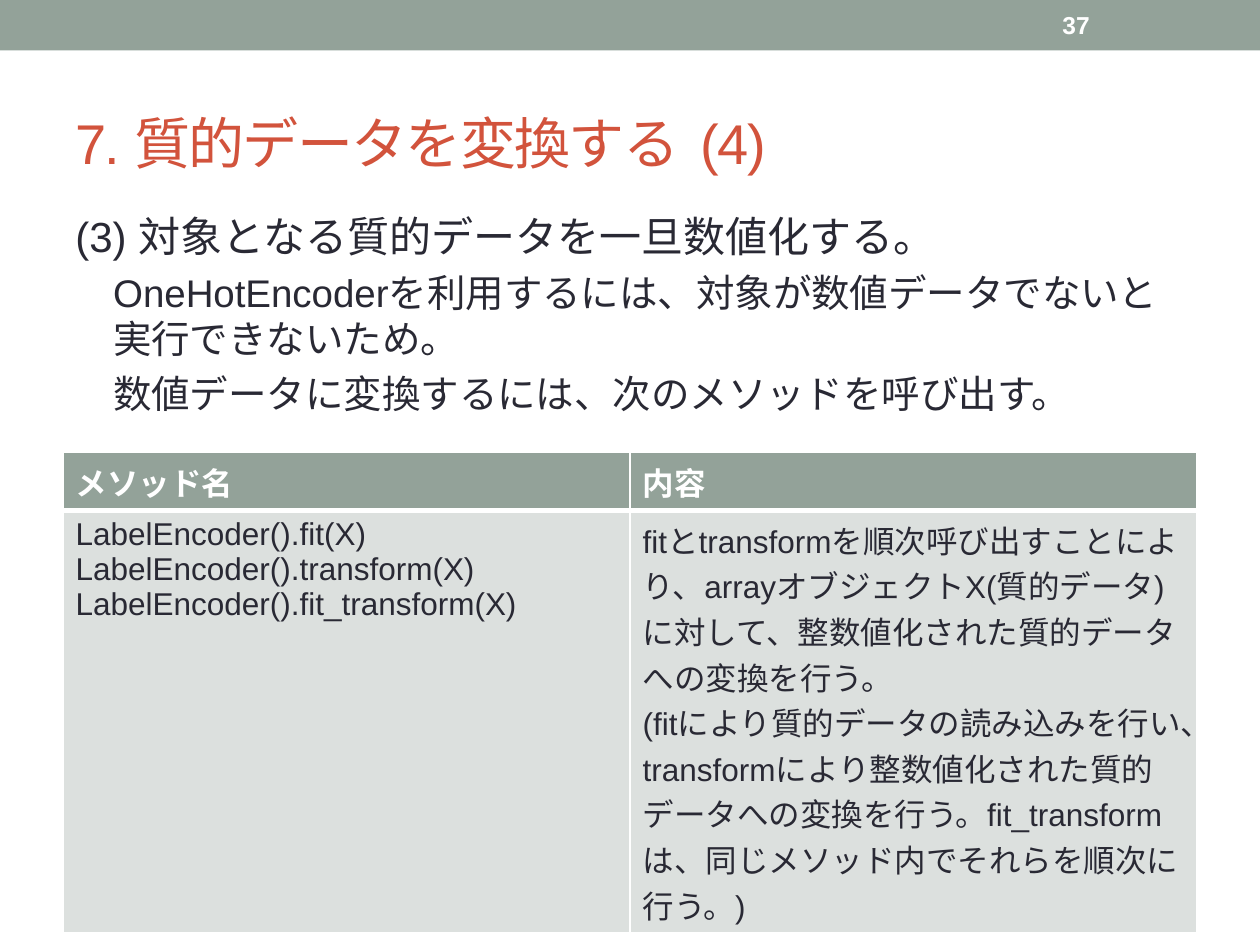
from lxml import etree
from pptx import Presentation
from pptx.dml.color import RGBColor
from pptx.enum import shapes, text
from pptx.oxml import ns
from pptx.util import Pt

SAGE = RGBColor(0x93, 0xA2, 0x99)
PALE = RGBColor(0xDC, 0xE0, 0xDE)
RUST = RGBColor(0xD2, 0x53, 0x3C)
INK = RGBColor(0x29, 0x29, 0x34)
WHITE = RGBColor(0xFF, 0xFF, 0xFF)

BODY_LINES = [
    ("(3) 対象となる質的データを一旦数値化する。", 24, 0),
    ("OneHotEncoderを利用するには、対象が数値データでないと実行できないため。", 22, 21.6),
    ("数値データに変換するには、次のメソッドを呼び出す。", 22, 21.6),
]
HEADER_HEIGHT = 33.2
METHOD_ROWS = [
    [["メソッド名"], ["内容"]],
    [
        [
            "LabelEncoder().fit(X)",
            "LabelEncoder().transform(X)",
            "LabelEncoder().fit_transform(X)",
        ],
        [
            "fitとtransformを順次呼び出すことにより、arrayオブジェクトX(質的データ)に対して、"
            "整数値化された質的データへの変換を行う。",
            "(fitにより質的データの読み込みを行い、transformにより整数値化された質的データへの変換を行う。"
            "fit_transformは、同じメソッド内でそれらを順次に行う。)",
        ],
    ],
]


def write(para, words, size=18, color=INK, bold=False, spacing=None, indent=0, before=0):
    if indent:
        props = para._p.get_or_add_pPr()
        props.set("marL", str(Pt(indent)))
        props.set("indent", "0")
    if before:
        para.space_before = Pt(before)
    span = para.add_run()
    span.text = words
    span.font.name = "Arial"
    span.font.size = Pt(size)
    span.font.bold = bold
    span.font.color.rgb = color
    if spacing:
        span._r.get_or_add_rPr().set("spc", str(spacing * 100))


def add_box(page, left, top, width, height, anchor=text.MSO_ANCHOR.TOP):
    frame = page.shapes.add_textbox(Pt(left), Pt(top), Pt(width), Pt(height)).text_frame
    frame.word_wrap = True
    frame.vertical_anchor = anchor
    return frame


def next_para(frame, index):
    return frame.add_paragraph() if index else frame.paragraphs[0]


def add_banner(page, left, top, width, height):
    bar = page.shapes.add_shape(
        shapes.MSO_SHAPE.RECTANGLE, Pt(left), Pt(top), Pt(width), Pt(height)
    )
    bar.shadow.inherit = False
    bar.fill.solid()
    bar.fill.fore_color.rgb = SAGE
    bar.line.fill.background()
    number = add_box(page, left + 600, top + 1.4, 84, height - 2.8, text.MSO_ANCHOR.MIDDLE)
    write(number.paragraphs[0], "37", size=14, color=WHITE, bold=True)


def add_title(page, left, top, width, height):
    frame = add_box(page, left, top, width, height, text.MSO_ANCHOR.MIDDLE)
    write(frame.paragraphs[0], "7. 質的データを変換する  (4)", size=32, color=RUST, spacing=-1)


def add_body(page, left, top, width, height):
    frame = add_box(page, left, top, width, height)
    for index, (words, size, indent) in enumerate(BODY_LINES):
        write(next_para(frame, index), words, size=size, indent=indent,
              before=5 if index else 0)


def set_borders(cell, **widths):
    props = cell._tc.get_or_add_tcPr()
    for side in ("L", "R", "T", "B"):
        line = etree.SubElement(props, ns.qn("a:ln" + side), w=str(Pt(widths.get(side, 1))))
        fill = etree.SubElement(line, ns.qn("a:solidFill"))
        etree.SubElement(fill, ns.qn("a:srgbClr"), val=str(WHITE))


def add_methods(page, left, top, width, height):
    table = page.shapes.add_table(2, 2, Pt(left), Pt(top), Pt(width), Pt(height)).table
    for row, row_height in zip(table.rows, (HEADER_HEIGHT, height - HEADER_HEIGHT)):
        row.height = Pt(row_height)
    for r, contents in enumerate(METHOD_ROWS):
        header = r == 0
        for c, paragraphs in enumerate(contents):
            cell = table.cell(r, c)
            set_borders(cell, **({"B": 3} if header else {"T": 3}))
            cell.fill.solid()
            cell.fill.fore_color.rgb = SAGE if header else PALE
            for index, words in enumerate(paragraphs):
                write(next_para(cell.text_frame, index), words,
                      color=WHITE if header else INK, bold=header)


def main():
    deck = Presentation()
    deck.slide_width, deck.slide_height = Pt(720), Pt(540)
    page = deck.slides.add_slide(deck.slide_layouts[6])
    add_banner(page, 0, 0, 720, 28.8)
    add_title(page, 36, 42.2, 648, 77.8)
    add_body(page, 36, 116.6, 648, 417.6)
    add_methods(page, 36, 258.5, 648, 274.6)
    deck.save("out.pptx")


if __name__ == "__main__":
    main()
